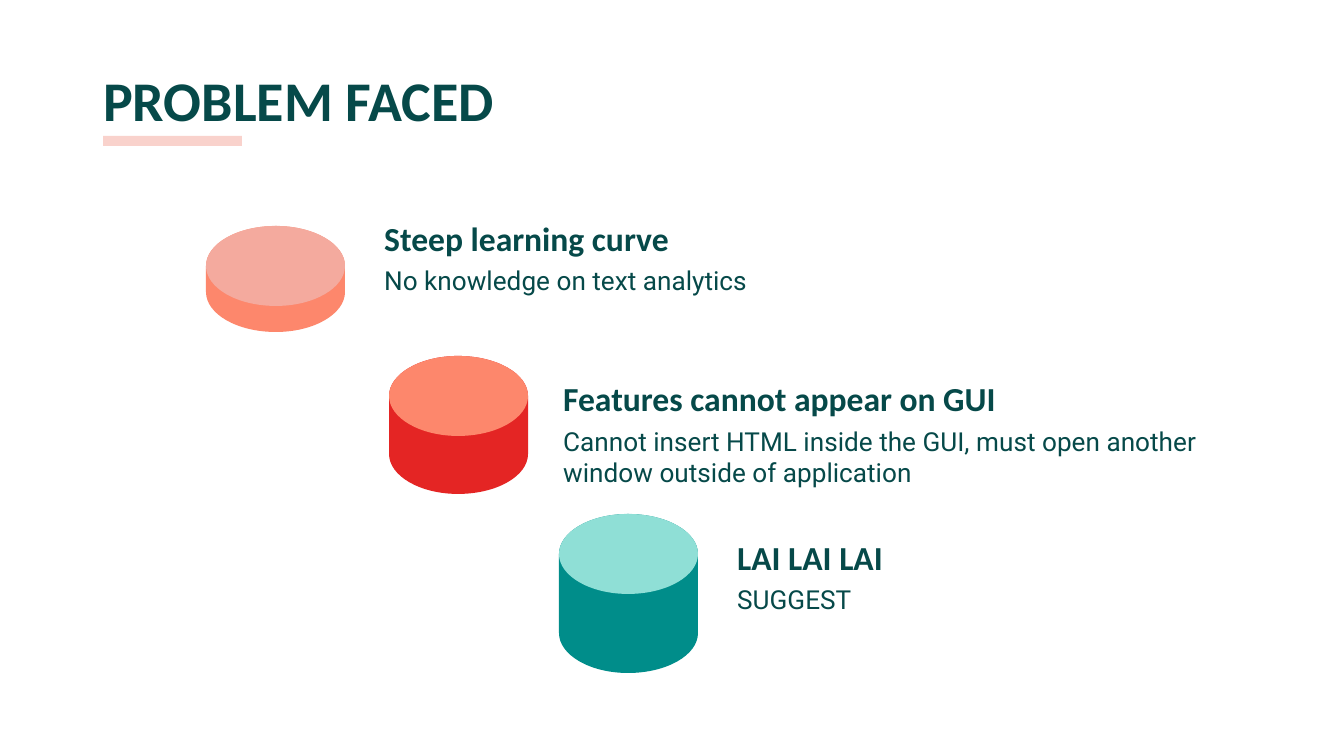
from lxml import etree
from pptx import Presentation
from pptx.dml.color import RGBColor
from pptx.enum.shapes import MSO_SHAPE as Shape
from pptx.enum.text import MSO_ANCHOR as Anchor
from pptx.oxml.ns import qn
from pptx.util import Pt

PX = 914400 / 134.4
THEME = {
    "ink": "064949", "pink": "F4AA9E", "coral": "FD876C",
    "red": "E42524", "teal": "008D8A", "mint": "8FDFD6",
    "title": ("Calibri", 30, True),
    "heading": ("Calibri", 18, True),
    "body": ("Roboto", 14, False),
}

deck = Presentation()
deck.slide_width, deck.slide_height = round(1344 * PX), round(756 * PX)
slide = deck.slides.add_slide(deck.slide_layouts[6])


def add_text(words, style, box, anchor=Anchor.TOP):
    frame = slide.shapes.add_textbox(*(round(v * PX) for v in box)).text_frame
    frame.word_wrap = True
    frame.vertical_anchor = anchor
    frame.margin_top = frame.margin_bottom = frame.margin_left
    line = frame.paragraphs[0]
    line.text = words
    line.font.name, size, line.font.bold = THEME[style]
    line.font.size = Pt(size)
    line.font.color.rgb = RGBColor.from_string(THEME["ink"])


def paint(part, color):
    part.shadow.inherit = False
    part.fill.solid()
    part.fill.fore_color.rgb = RGBColor.from_string(THEME[color])
    part.line.fill.background()


add_text("PROBLEM FACED", "title", (90, 52, 1253, 85))
problems = [
    ("Steep learning curve", (371, 209, 417, 63),
     "No knowledge on text analytics", (371, 251, 808, 120)),
    ("Features cannot appear on GUI", (550, 351, 613, 81),
     "Cannot insert HTML inside the GUI, must open another window outside of application",
     (550, 412, 687, 116)),
    ("LAI LAI LAI", (724, 535, 243, 56),
     "SUGGEST", (724, 570, 456, 116)),
]
for heading, heading_box, detail, detail_box in problems:
    add_text(heading, "heading", heading_box, Anchor.BOTTOM)
    add_text(detail, "body", detail_box)

underline = slide.shapes.add_shape(
    Shape.RECTANGLE, *(round(v * PX) for v in (103, 136, 139, 10)))
paint(underline, "pink")
tint = underline.fill._xPr.find(qn("a:solidFill"))[0]
etree.SubElement(tint, qn("a:alpha")).set("val", "52000")

RX, RY = 69.5, 40
BOW = 0.45
cylinders = [
    (206, 226, 26, "coral", "pink"),
    (389, 356, 58, "red", "coral"),
    (559, 514, 79, "teal", "mint"),
]
for left, top, wall, side, lid in cylinders:
    cylinder = slide.shapes.add_group_shape()
    for depth, color in ((wall, side), (0, lid)):
        mid, right = left + RX, left + 2 * RX
        upper, lower = top + RY, top + RY + depth
        bottom = lower + RY
        dx, dy = BOW * RX, BOW * RY
        edges = [
            [(left + dx, top), (left, top + dy), (left, upper)],
            [(left, lower)],
            [(left, bottom - dy), (left + dx, bottom), (mid, bottom)],
            [(right - dx, bottom), (right, bottom - dy), (right, lower)],
            [(right, upper)],
            [(right, top + dy), (right - dx, top), (mid, top)],
        ]
        edges = [edge for edge in edges if depth or len(edge) == 3]
        outline = cylinder.shapes.build_freeform(mid, top, scale=PX)
        outline.add_line_segments([point for edge in edges for point in edge])
        face = outline.convert_to_shape()
        lines = iter(list(face._element.iter(qn("a:lnTo"))))
        for edge in edges:
            curve, *rest = [next(lines) for _ in edge]
            if rest:
                curve.tag = qn("a:cubicBezTo")
            for extra in rest:
                curve.append(extra[0])
                extra.getparent().remove(extra)
        paint(face, color)

deck.save("out.pptx")
